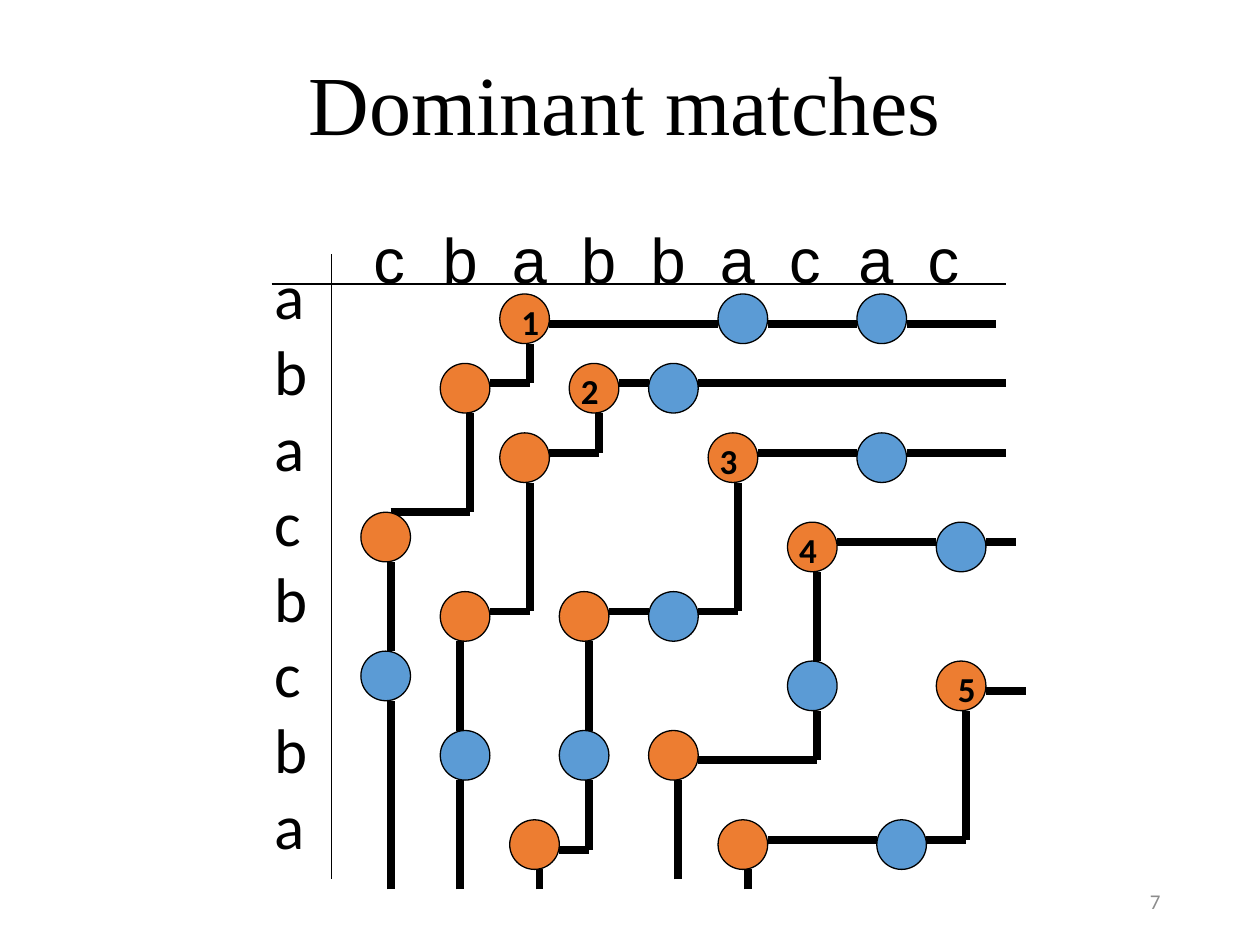
import itertools

import lxml.etree
import pptx
import pptx.dml.color
import pptx.enum.shapes
import pptx.enum.text
import pptx.oxml.ns
import pptx.util

BLACK = pptx.dml.color.RGBColor(0x00, 0x00, 0x00)
GREY = pptx.dml.color.RGBColor(0x8C, 0x8C, 0x8C)
BLUE = pptx.dml.color.RGBColor(0x5B, 0x9B, 0xD5)
ORANGE = pptx.dml.color.RGBColor(0xED, 0x7D, 0x31)

ALIGN = pptx.enum.text.PP_ALIGN
ANCHOR = pptx.enum.text.MSO_ANCHOR
UNIT = 1 / 12.7
ORIGIN_X, ORIGIN_Y = 0.03, 0.05
DOT_SIZE = 5

AXES = [[(27, 28), (101, 28)], [(33, 25), (33, 88)]]
BLUE_DOTS = [
    (72, 29), (86, 29), (65, 36), (86, 43), (94, 52), (65, 59),
    (36, 65), (79, 66), (44, 73), (56, 73), (88, 82),
]
ORANGE_DOTS = [
    (50, 29), (44, 36), (36, 51), (57, 36), (50, 43), (44, 59), (71, 43),
    (56, 59), (79, 52), (51, 82), (65, 73), (72, 82), (94, 66),
]
CONTOURS = [
    [(39, 89), (39, 70)], [(39, 65), (39, 56)],
    [(39, 51), (47, 51), (47, 41)], [(49, 38), (53, 38), (53, 34)],
    [(55, 32), (72, 32)], [(77, 32), (86, 32)], [(91, 32), (100, 32)],
    [(46, 89), (46, 78)], [(46, 73), (46, 64)],
    [(49, 61), (53, 61), (53, 48)], [(55, 45), (60, 45), (60, 41)],
    [(62, 38), (65, 38)], [(70, 38), (101, 38)],
    [(54, 89), (54, 87)], [(56, 85), (59, 85), (59, 78)],
    [(59, 73), (59, 64)], [(61, 61), (65, 61)],
    [(70, 61), (74, 61), (74, 48)], [(76, 45), (86, 45)], [(91, 45), (101, 45)],
    [(68, 88), (68, 78)], [(70, 76), (82, 76), (82, 71)],
    [(82, 66), (82, 57)], [(84, 54), (94, 54)], [(99, 54), (102, 54)],
    [(75, 89), (75, 87)], [(77, 84), (88, 84)],
    [(93, 84), (97, 84), (97, 71)], [(99, 69), (103, 69)],
]
RANKS = [("1", 49, 29), ("2", 55, 36), ("3", 69, 43), ("4", 77, 52), ("5", 93, 66)]


def grid_x(column):
    """Return the horizontal position of a grid column."""
    return pptx.util.Inches(ORIGIN_X + column * UNIT)


def grid_y(row):
    """Return the vertical position of a grid row."""
    return pptx.util.Inches(ORIGIN_Y + row * UNIT)


def apply_format(target, values):
    """Set every named attribute of the target."""
    for name, value in values.items():
        setattr(target, name, value)


def set_tabs(para, step, count):
    """Give the paragraph equally spaced left tab stops."""
    tag = pptx.oxml.ns.qn
    tabs = lxml.etree.SubElement(para._p.get_or_add_pPr(), tag("a:tabLst"))
    for index in range(1, count + 1):
        position = str(pptx.util.Inches(step * index))
        lxml.etree.SubElement(tabs, tag("a:tab"), pos=position, algn="l")


def write_text(box, lines, size, font, align=ALIGN.LEFT, color=BLACK,
               bold=False, tabs=None, anchor=ANCHOR.TOP):
    """Fill a shape with formatted paragraphs."""
    frame = box.text_frame
    apply_format(frame, {
        "word_wrap": True,
        "auto_size": pptx.enum.text.MSO_AUTO_SIZE.NONE,
        "vertical_anchor": anchor,
    })
    frame.text = "\n".join(lines)
    for para in frame.paragraphs:
        para.alignment = align
        if tabs:
            set_tabs(para, *tabs)
        for span in para.runs:
            apply_format(span.font, {
                "size": pptx.util.Pt(size), "name": font, "bold": bold})
            span.font.color.rgb = color


def add_text(page, left, top, width, height, lines, size, font, **values):
    """Add a text box with formatted paragraphs."""
    box = page.shapes.add_textbox(
        left, top, pptx.util.Inches(width), pptx.util.Inches(height))
    write_text(box, lines, size, font, **values)


def add_dot(page, column, row, color):
    """Add a match as a filled circle on the grid."""
    size = pptx.util.Inches(DOT_SIZE * UNIT)
    dot = page.shapes.add_shape(
        pptx.enum.shapes.MSO_SHAPE.OVAL, grid_x(column), grid_y(row), size, size)
    dot.shadow.inherit = False
    dot.fill.solid()
    dot.fill.fore_color.rgb = color
    dot.line.color.rgb = BLACK
    dot.line.width = pptx.util.Pt(0.75)


def add_path(page, points, width):
    """Join successive grid points with straight connectors."""
    for start, end in itertools.pairwise(points):
        line = page.shapes.add_connector(
            pptx.enum.shapes.MSO_CONNECTOR.STRAIGHT,
            grid_x(start[0]), grid_y(start[1]), grid_x(end[0]), grid_y(end[1]))
        line.line.color.rgb = BLACK
        line.line.width = pptx.util.Pt(width)
        lxml.etree.SubElement(
            line._element.spPr, pptx.oxml.ns.qn("a:effectLst"))


def add_title(page):
    """Place and format the title."""
    title = page.shapes.title
    inches = pptx.util.Inches
    apply_format(title, {"left": inches(2.35), "top": inches(0.45),
                         "width": inches(7.32), "height": inches(0.79)})
    write_text(title, ["Dominant matches"], 48, "Times New Roman")
    title.text_frame.paragraphs[0].line_spacing = 0.9


def main():
    """Build the slide and save it."""
    inches = pptx.util.Inches
    deck = pptx.Presentation()
    deck.slide_width, deck.slide_height = inches(10), inches(7.5)
    page = deck.slides.add_slide(deck.slide_layouts[5])
    add_title(page)
    for axis in AXES:
        add_path(page, axis, 0.75)
    add_text(page, grid_x(36), inches(1.7), 5.28, 0.79, ["\t".join("cbabbacac")],
             36, "Arial", tabs=(0.55, 8))
    add_text(page, grid_x(26), inches(1.99), 0.87, 5.51, "abacbcba", 36, "Calibri")
    for column, row in BLUE_DOTS:
        add_dot(page, column, row, BLUE)
    for contour in CONTOURS:
        add_path(page, contour, 4.5)
    for column, row in ORANGE_DOTS:
        add_dot(page, column, row, ORANGE)
    for rank, column, row in RANKS:
        add_text(page, grid_x(column), grid_y(row), 0.64, 0.43, [rank], 20,
                 "Calibri", align=ALIGN.CENTER, bold=True)
    add_text(page, inches(7.06), inches(6.95), 2.25, 0.4, ["7"], 12, "Calibri",
             align=ALIGN.RIGHT, color=GREY, anchor=ANCHOR.MIDDLE)
    deck.save("out.pptx")


if __name__ == "__main__":
    main()
